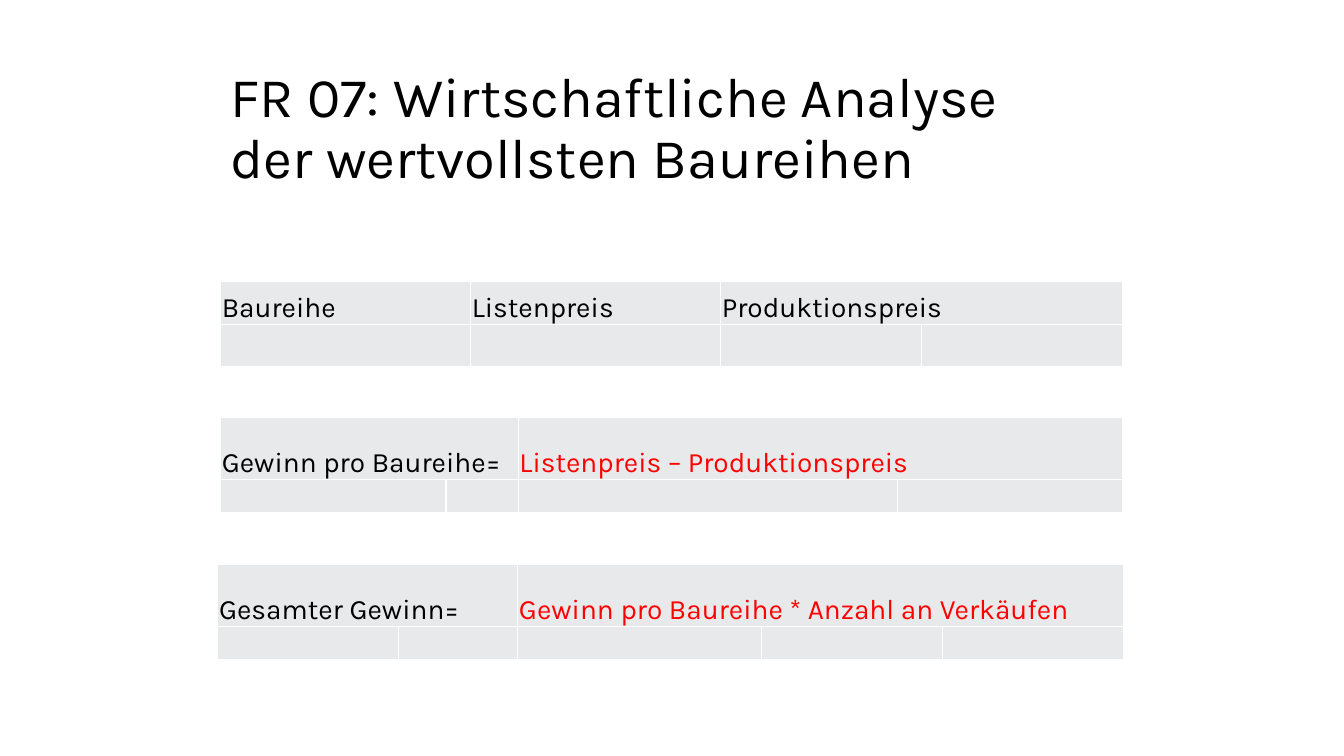
from dataclasses import dataclass
from itertools import accumulate

from lxml import etree
from pptx import Presentation
from pptx.dml.color import RGBColor
from pptx.enum import text
from pptx.oxml import ns
from pptx.util import Cm, Pt


@dataclass(frozen=True)
class Theme:
    font: str = "Karla"
    ink: str = "000000"
    formula: str = "FF0000"
    cell: str = "E7E9EA"
    border: str = "FFFFFF"
    border_width: int = Pt(1)
    title_size: int = Pt(40)
    table_size: int = Pt(20)


@dataclass(frozen=True)
class Heading:
    """Text of a merged top cell, and how many columns it covers."""
    words: str
    columns: int
    color: str


@dataclass(frozen=True)
class PriceTable:
    left: float
    top: float
    widths: tuple[float, ...]
    heights: tuple[float, float]
    headings: tuple[Heading, ...]


THEME = Theme()
FORMULA_ROWS = (1.55, 0.83)
TABLES = (
    PriceTable(5.56, 7.09, (6.3, 6.3, 5.06, 5.06), (1.08, 1.08), (
        Heading("Baureihe", 1, THEME.ink),
        Heading("Listenpreis", 1, THEME.ink),
        Heading("Produktionspreis", 2, THEME.ink))),
    PriceTable(5.56, 10.53, (5.68, 1.82, 9.55, 5.68), FORMULA_ROWS, (
        Heading("Gewinn pro Baureihe=", 2, THEME.ink),
        Heading("Listenpreis – Produktionspreis", 2, THEME.formula))),
    PriceTable(5.49, 14.23, (4.56, 3, 6.14, 4.56, 4.56), FORMULA_ROWS, (
        Heading("Gesamter Gewinn=", 2, THEME.ink),
        Heading("Gewinn pro Baureihe * Anzahl an Verkäufen", 3, THEME.formula))),
)


def set_attributes(target, values: dict) -> None:
    for name, value in values.items():
        setattr(target, name, value)


def style_font(font, size: int, color: str) -> None:
    set_attributes(font, {"name": THEME.font, "size": size, "bold": False})
    font.color.rgb = RGBColor.from_string(color)


def style_cell(cell) -> None:
    set_attributes(cell, {
        "margin_left": Cm(0.03), "margin_right": Cm(0.03),
        "margin_top": Cm(0.03), "margin_bottom": 0,
        "vertical_anchor": text.MSO_ANCHOR.BOTTOM,
    })
    properties = cell._tc.get_or_add_tcPr()
    for side in ("a:lnL", "a:lnR", "a:lnT", "a:lnB"):
        line = etree.SubElement(properties, ns.qn(side), w=str(THEME.border_width))
        paint = etree.SubElement(line, ns.qn("a:solidFill"))
        etree.SubElement(paint, ns.qn("a:srgbClr"), val=THEME.border)
    cell.fill.solid()
    cell.fill.fore_color.rgb = RGBColor.from_string(THEME.cell)


def add_price_table(slide, prices: PriceTable) -> None:
    table = slide.shapes.add_table(
        len(prices.heights), len(prices.widths), Cm(prices.left), Cm(prices.top),
        Cm(sum(prices.widths)), Cm(sum(prices.heights))).table
    set_attributes(table, {"first_row": False, "horz_banding": False})
    for column, width in zip(table.columns, prices.widths):
        column.width = Cm(width)
    for row, height in zip(table.rows, prices.heights):
        row.height = Cm(height)
    for cell in table.iter_cells():
        style_cell(cell)

    ends = accumulate(heading.columns for heading in prices.headings)
    for heading, end in zip(prices.headings, ends):
        cell = table.cell(0, end - heading.columns)
        if heading.columns > 1:
            cell.merge(table.cell(0, end - 1))
        run = cell.text_frame.paragraphs[0].add_run()
        run.text = heading.words
        style_font(run.font, THEME.table_size, heading.color)


def add_title(slide, words: str) -> None:
    title = slide.shapes.title
    set_attributes(title, {"left": Cm(5.56), "top": Cm(0.43),
                           "width": Cm(22.02), "height": Cm(4.5)})
    set_attributes(title.text_frame, {
        "word_wrap": True, "auto_size": text.MSO_AUTO_SIZE.NONE,
        "vertical_anchor": text.MSO_ANCHOR.BOTTOM,
    })
    paragraph = title.text_frame.paragraphs[0]
    set_attributes(paragraph, {"alignment": text.PP_ALIGN.LEFT, "line_spacing": 0.9})
    run = paragraph.add_run()
    run.text = words
    style_font(run.font, THEME.title_size, THEME.ink)


def main() -> None:
    deck = Presentation()
    set_attributes(deck, {"slide_width": Cm(33.87), "slide_height": Cm(19.05)})
    slide = deck.slides.add_slide(deck.slide_layouts.get_by_name("Title Only"))
    add_title(slide, "FR 07: Wirtschaftliche Analyse der wertvollsten Baureihen")
    for prices in TABLES:
        add_price_table(slide, prices)
    deck.save("out.pptx")


if __name__ == "__main__":
    main()
